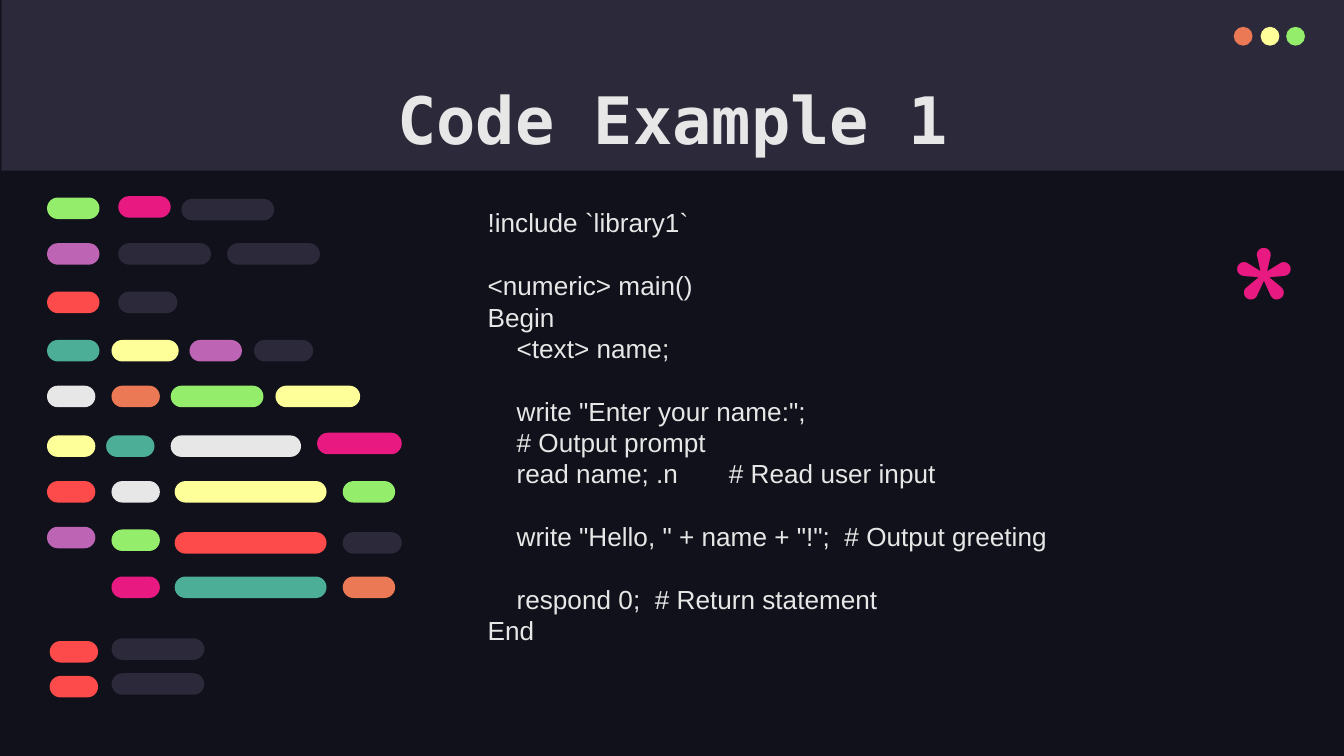
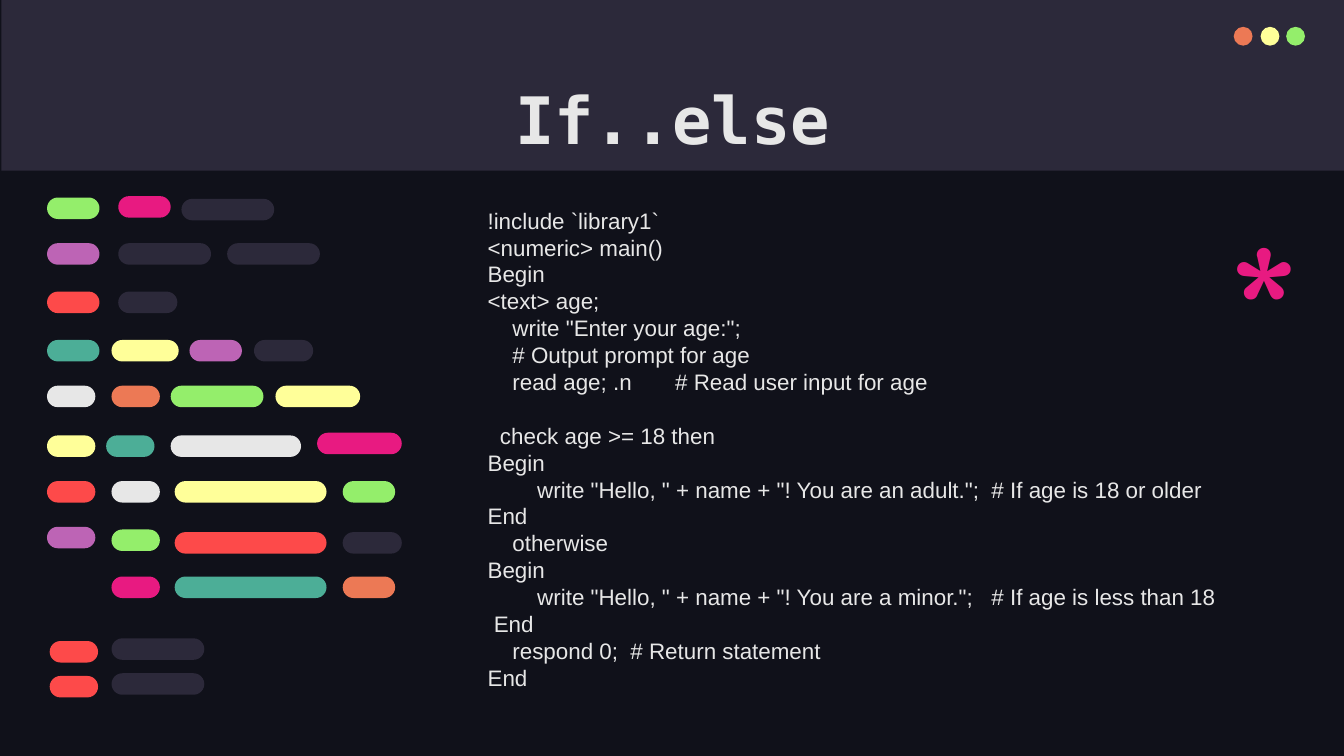
from pptx import Presentation
from pptx.dml.color import RGBColor
from pptx.enum import shapes, text
from pptx.util import Inches, Pt

NIGHT = RGBColor(0x10, 0x11, 0x1A)
SLATE = RGBColor(0x2C, 0x29, 0x3A)
WHITE = RGBColor(0xE7, 0xE7, 0xE7)
ORANGE = RGBColor(0xEC, 0x79, 0x55)
YELLOW = RGBColor(0xFF, 0xFF, 0x99)
GREEN = RGBColor(0x94, 0xEE, 0x6B)
PINK = RGBColor(0xE8, 0x1A, 0x81)
PURPLE = RGBColor(0xBD, 0x64, 0xB5)
RED = RGBColor(0xFD, 0x4A, 0x4A)
TEAL = RGBColor(0x4C, 0xAE, 0x97)

# title, code size in points, code
SLIDES = [
    ("Code Example 1", 14, '''!include `library1`

<numeric> main()
Begin
    <text> name;

    write "Enter your name:";
    # Output prompt
    read name; .n       # Read user input

    write "Hello, " + name + "!";  # Output greeting

    respond 0;  # Return statement
End'''),
    ("If..else", 12, '''!include `library1`
<numeric> main()
Begin
<text> age;
    write "Enter your age:";
    # Output prompt for age
    read age; .n       # Read user input for age

  check age >= 18 then
Begin
        write "Hello, " + name + "! You are an adult.";  # If age is 18 or older
End
    otherwise
Begin
        write "Hello, " + name + "! You are a minor.";   # If age is less than 18
 End
    respond 0;  # Return statement
End'''),
]

# left, colour
WINDOW_DOTS = [(9.18, ORANGE), (9.38, YELLOW), (9.57, GREEN)]

# One line per row of pills: left, top, width, colour
PILLS = [
    (0.35, 1.47, 0.39, GREEN), (0.88, 1.46, 0.39, PINK), (1.35, 1.48, 0.69, SLATE),
    (0.35, 1.81, 0.39, PURPLE), (0.88, 1.81, 0.69, SLATE), (1.69, 1.81, 0.69, SLATE),
    (0.35, 2.17, 0.39, RED), (0.88, 2.17, 0.44, SLATE),
    (0.35, 2.53, 0.39, TEAL), (0.83, 2.53, 0.5, YELLOW), (1.41, 2.53, 0.39, PURPLE), (1.89, 2.53, 0.44, SLATE),
    (0.35, 2.87, 0.36, WHITE), (0.83, 2.87, 0.36, ORANGE), (1.27, 2.87, 0.69, GREEN), (2.05, 2.87, 0.63, YELLOW),
    (0.35, 3.24, 0.36, YELLOW), (0.79, 3.24, 0.36, TEAL), (1.27, 3.24, 0.97, WHITE), (2.36, 3.22, 0.63, PINK),
    (0.35, 3.58, 0.36, RED), (0.83, 3.58, 0.36, WHITE), (1.3, 3.58, 1.13, YELLOW), (2.55, 3.58, 0.39, GREEN),
    (0.35, 3.92, 0.36, PURPLE), (0.83, 3.94, 0.36, GREEN), (1.3, 3.96, 1.13, RED), (2.55, 3.96, 0.44, SLATE),
    (0.83, 4.29, 0.36, PINK), (1.3, 4.29, 1.13, TEAL), (2.55, 4.29, 0.39, ORANGE),
    (0.37, 4.77, 0.36, RED), (0.83, 4.75, 0.69, SLATE),
    (0.37, 5.03, 0.36, RED), (0.83, 5.01, 0.69, SLATE),
]
PILL_HEIGHT = 0.16
DOT_TOP, DOT_SIZE = 0.2, 0.14
LINE_HEIGHT = 1.2  # of the font size

TITLE_FONT = {"name": "DejaVu Sans Mono", "size": Pt(35), "bold": True}
STAR_FONT = {"name": "Comfortaa", "size": Pt(96)}


def add_filled(parent, kind, left, top, width, height, color):
    shape = parent.shapes.add_shape(kind, *map(Inches, (left, top, width, height)))
    shape.shadow.inherit = False
    shape.fill.solid()
    shape.fill.fore_color.rgb = color
    shape.line.fill.background()
    return shape


def add_text(slide, box, lines, font, color, inset=None, align=None):
    """Write one paragraph per line; an empty line becomes space before the next."""
    frame = slide.shapes.add_textbox(*map(Inches, box)).text_frame
    frame.word_wrap = True
    frame.vertical_anchor = text.MSO_ANCHOR.TOP
    if inset is not None:
        for side in ("left", "top", "right", "bottom"):
            setattr(frame, f"margin_{side}", Inches(inset))
    paragraph, gap = frame.paragraphs[0], 0
    for number, line in enumerate(lines):
        if not line:
            gap += 1
            continue
        if number:
            paragraph = frame.add_paragraph()
        paragraph.alignment = align
        if gap:
            paragraph.space_before = Pt(gap * LINE_HEIGHT * font["size"].pt)
            gap = 0
        run = paragraph.add_run()
        run.text = line
        for name, value in font.items():
            setattr(run.font, name, value)
        run.font.color.rgb = color


def add_frame(slide):
    """Draw the background, the title band and the window dots."""
    slide.background.fill.solid()
    slide.background.fill.fore_color.rgb = NIGHT
    add_filled(slide, shapes.MSO_SHAPE.RECTANGLE, 0.01, 0, 10, 1.27, SLATE)
    dots = slide.shapes.add_group_shape()
    for left, color in WINDOW_DOTS:
        add_filled(dots, shapes.MSO_SHAPE.OVAL, left, DOT_TOP, DOT_SIZE, DOT_SIZE, color)


def add_pills(slide):
    group = slide.shapes.add_group_shape()
    for left, top, width, color in PILLS:
        pill = add_filled(group, shapes.MSO_SHAPE.ROUNDED_RECTANGLE,
                          left, top, width, PILL_HEIGHT, color)
        pill.adjustments[0] = 0.5


def main():
    presentation = Presentation()
    presentation.slide_width = Inches(10)
    presentation.slide_height = presentation.slide_width * 9 // 16
    for title, code_size, code in SLIDES:
        slide = presentation.slides.add_slide(presentation.slide_layouts[6])
        add_frame(slide)
        add_text(slide, (0.79, 0.49, 8.43, 0.63), [title], TITLE_FONT, WHITE,
                 inset=0.1, align=text.PP_ALIGN.CENTER)
        add_pills(slide)
        add_text(slide, (9.05, 1.46, 0.57, 0.87), ["*"], STAR_FONT, PINK, inset=0.1)
        add_text(slide, (3.53, 1.49, 5.66, 3.54), code.split("\n"),
                 {"name": "Arial", "size": Pt(code_size)}, WHITE)
    presentation.save("out.pptx")


if __name__ == "__main__":
    main()
